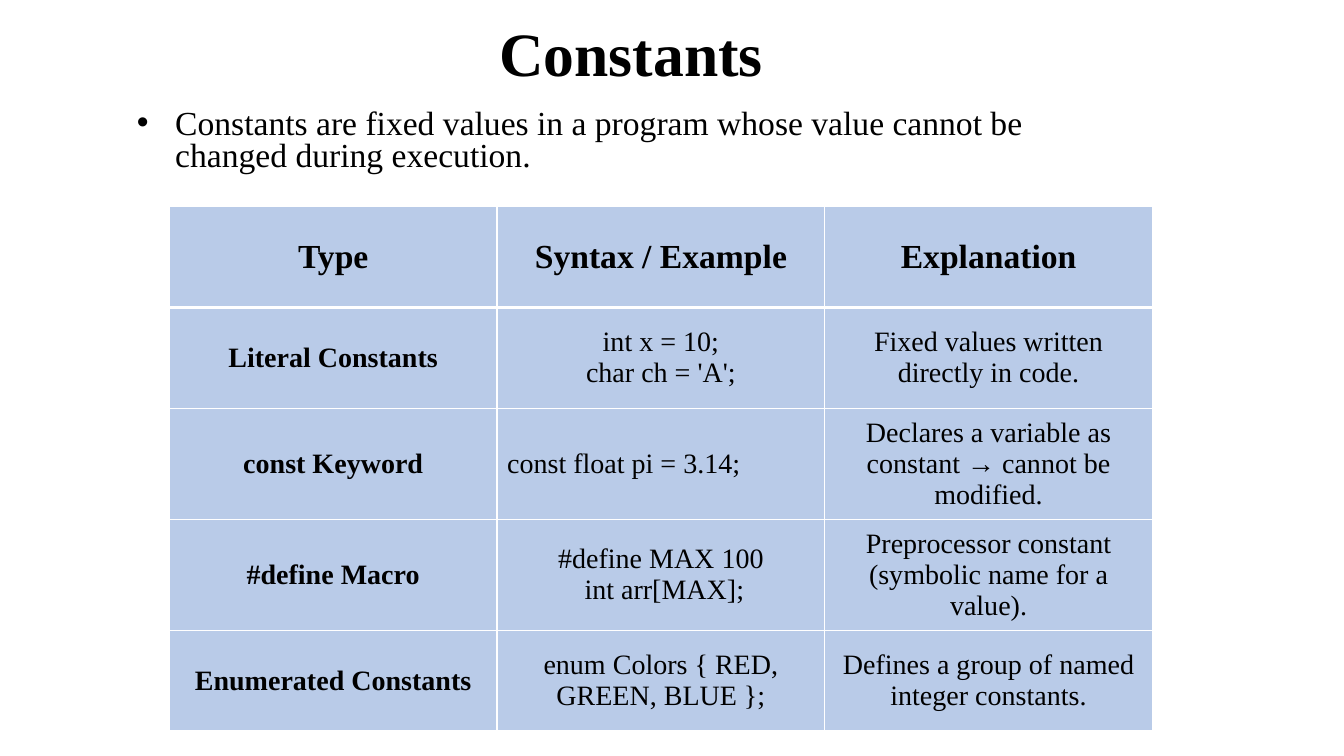
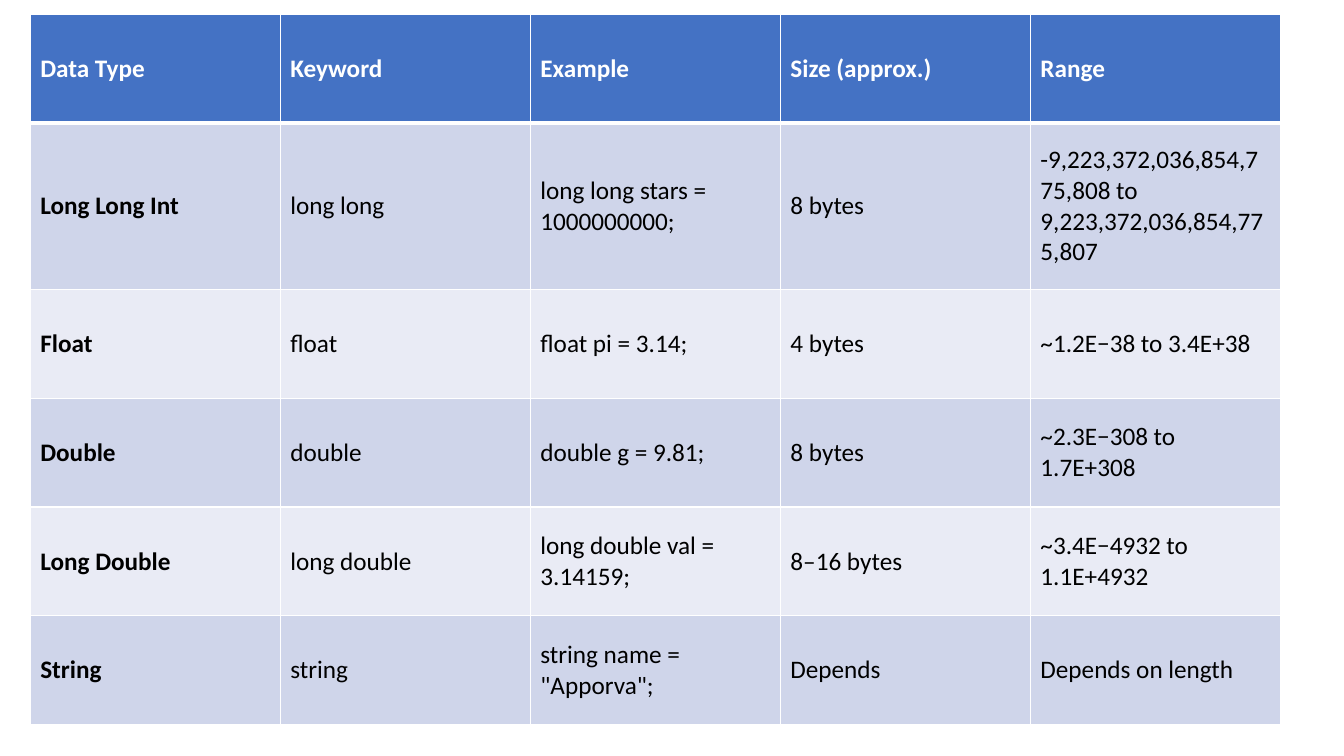
from dataclasses import dataclass
from lxml.etree import SubElement
from pptx import Presentation
from pptx.dml.color import RGBColor
from pptx.enum.text import MSO_ANCHOR, PP_ALIGN
from pptx.oxml.ns import qn
from pptx.util import Inches, Pt


@dataclass(frozen=True)
class Theme:
    serif: str = "Times New Roman"
    sans: str = "Calibri"
    black: str = "000000"
    white: str = "FFFFFF"
    pale_blue: str = "B4C7E7"
    header_blue: str = "4472C4"
    band_dark: str = "CFD5EA"
    band_light: str = "E9EBF5"
    title_size: int = 44
    lead_size: int = 24
    code_size: int = 20
    table_size: int = 18


theme = Theme()


def write(frame, text, *, font, size, color=theme.black, bold=False,
          align=PP_ALIGN.LEFT, spacing=None, bullet=None):
    frame.word_wrap = True
    for index, line in enumerate(text.split("\n")):
        para = frame.add_paragraph() if index else frame.paragraphs[0]
        para.alignment = align
        para.space_before = Pt(0)
        if spacing:
            para.line_spacing = spacing
        if bullet:
            properties = para._p.get_or_add_pPr()
            properties.set("marL", str(Inches(0.38)))
            properties.set("indent", str(-Inches(0.38)))
            SubElement(properties, qn("a:buFont"), typeface="Arial")
            SubElement(properties, qn("a:buChar"), char=bullet)
        span = para.add_run()
        span.text = line
        span.font.name = font
        span.font.size = Pt(size)
        span.font.bold = bold
        span.font.color.rgb = RGBColor.from_string(color)


def add_grid(page, rows, left, top, column_width, heights, fills, opacity=100):
    columns = len(rows[0])
    table = page.shapes.add_table(
        len(rows), columns, Inches(left), Inches(top),
        Inches(column_width * columns), Inches(sum(heights))).table
    for column in table.columns:
        column.width = Inches(column_width)
    for row_index, height in enumerate(heights):
        table.rows[row_index].height = Inches(height)
        for cell in table.rows[row_index].cells:
            cell.vertical_anchor = MSO_ANCHOR.MIDDLE
            properties = cell._tc.get_or_add_tcPr()
            widths = {"lnL": 1, "lnR": 1,
                      "lnT": 3 if row_index == 1 else 1,
                      "lnB": 3 if row_index == 0 else 1}
            for side, width in widths.items():
                line = SubElement(properties, qn(f"a:{side}"), w=str(Pt(width)))
                solid = SubElement(line, qn("a:solidFill"))
                SubElement(solid, qn("a:srgbClr"), val=theme.white)
            cell.fill.solid()
            cell.fill.fore_color.rgb = RGBColor.from_string(fills[row_index])
            if opacity < 100:
                color = properties.find(qn("a:solidFill")).find(qn("a:srgbClr"))
                SubElement(color, qn("a:alpha"), val=str(opacity * 1000))
    return table


deck = Presentation()
deck.slide_width = Inches(13.33)
deck.slide_height = Inches(7.5)

page = deck.slides.add_slide(deck.slide_layouts[5])
title = page.shapes.title
title.left, title.top = Inches(1.26), Inches(0.27)
title.width, title.height = Inches(10), Inches(0.67)
title.text_frame.vertical_anchor = MSO_ANCHOR.BOTTOM
write(title.text_frame, "Constants", font=theme.serif, size=theme.title_size,
      bold=True, align=PP_ALIGN.CENTER, spacing=0.9)

box = page.shapes.add_textbox(Inches(1.26), Inches(1.04), Inches(10), Inches(0.81))
write(box.text_frame,
      "Constants are fixed values in a program whose value cannot be changed during execution.",
      font=theme.serif, size=theme.lead_size, spacing=0.8, bullet="•")

constants = [
    ("Type", "Syntax / Example", "Explanation"),
    ("Literal Constants", "int x = 10;\nchar ch = 'A';",
     "Fixed values written directly in code."),
    ("const Keyword", "const float pi = 3.14;",
     "Declares a variable as constant → cannot be modified."),
    ("#define Macro", "#define MAX 100\n int arr[MAX];",
     "Preprocessor constant (symbolic name for a value)."),
    ("Enumerated Constants", "enum Colors { RED, GREEN, BLUE };",
     "Defines a group of named integer constants."),
]
table = add_grid(page, constants, 1.68, 2.05, 3.25, [1] * 5,
                 [theme.pale_blue] * 5, opacity=92)
for row_index, row in enumerate(constants):
    for column_index, text in enumerate(row):
        left_aligned = (row_index, column_index) == (2, 1)
        write(table.cell(row_index, column_index).text_frame, text, font=theme.serif,
              size=theme.code_size if row_index else theme.lead_size,
              bold=row_index == 0 or column_index == 0,
              align=PP_ALIGN.LEFT if left_aligned else PP_ALIGN.CENTER)

page = deck.slides.add_slide(deck.slide_layouts[6])
data_types = [
    ("Data Type", "Keyword", "Example", "Size (approx.)", "Range"),
    ("Long Long Int", "long long", "long long stars = 1000000000;", "8 bytes",
     "-9,223,372,036,854,775,808 to 9,223,372,036,854,775,807"),
    ("Float", "float", "float pi = 3.14;", "4 bytes", "~1.2E−38 to 3.4E+38"),
    ("Double", "double", "double g = 9.81;", "8 bytes", "~2.3E−308 to 1.7E+308"),
    ("Long Double", "long double", "long double val = 3.14159;", "8–16 bytes",
     "~3.4E−4932 to 1.1E+4932"),
    ("String", "string", 'string name = "Apporva";', "Depends", "Depends on length"),
]
bands = [theme.band_dark, theme.band_light]
table = add_grid(page, data_types, 0.3, 0.14, 2.48, [1.08, 1.65] + [1.08] * 4,
                 [theme.header_blue] + [bands[index % 2] for index in range(5)])
for row_index, row in enumerate(data_types):
    for column_index, text in enumerate(row):
        write(table.cell(row_index, column_index).text_frame, text, font=theme.sans,
              size=theme.table_size, bold=row_index == 0 or column_index == 0,
              color=theme.black if row_index else theme.white)

deck.save("out.pptx")
